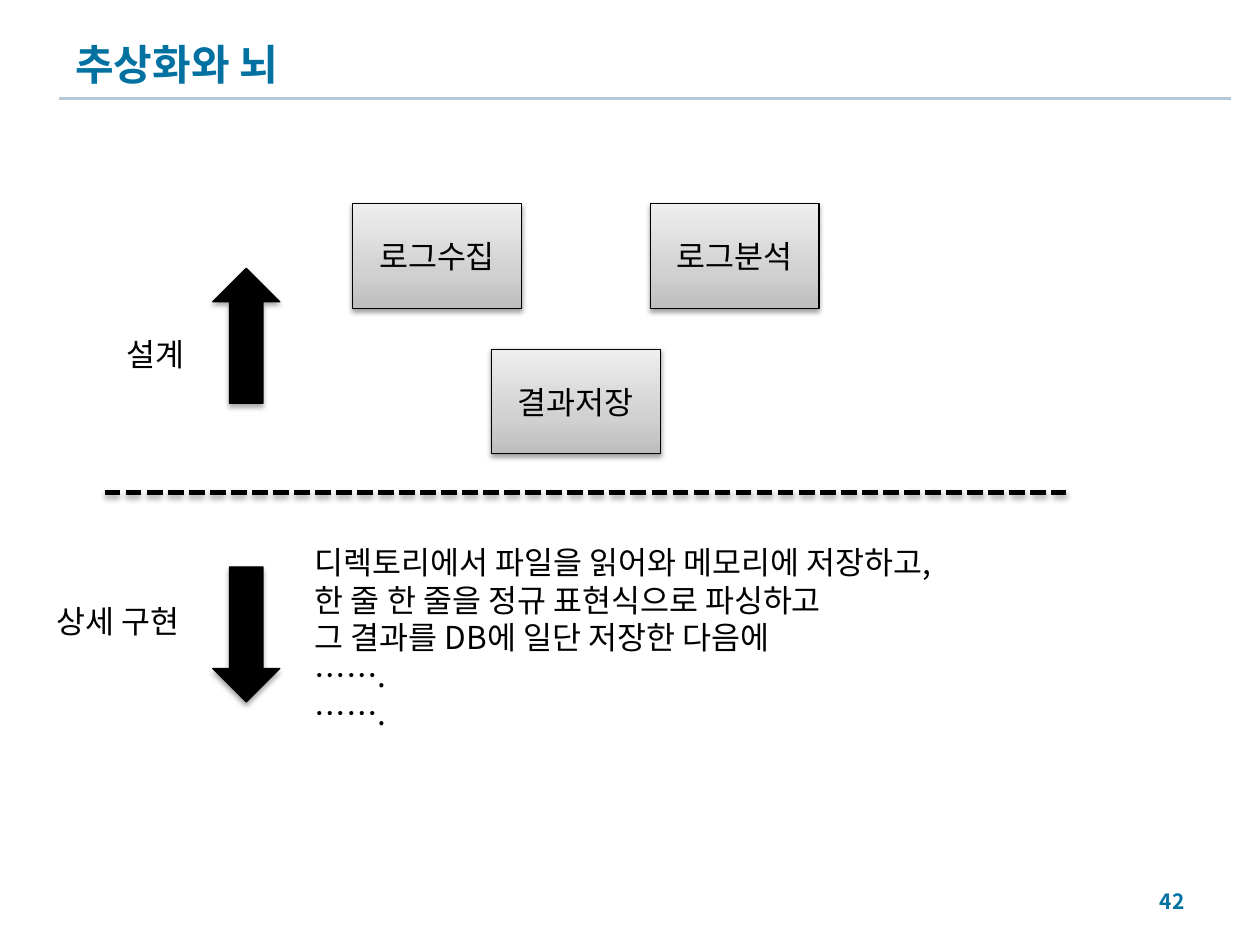
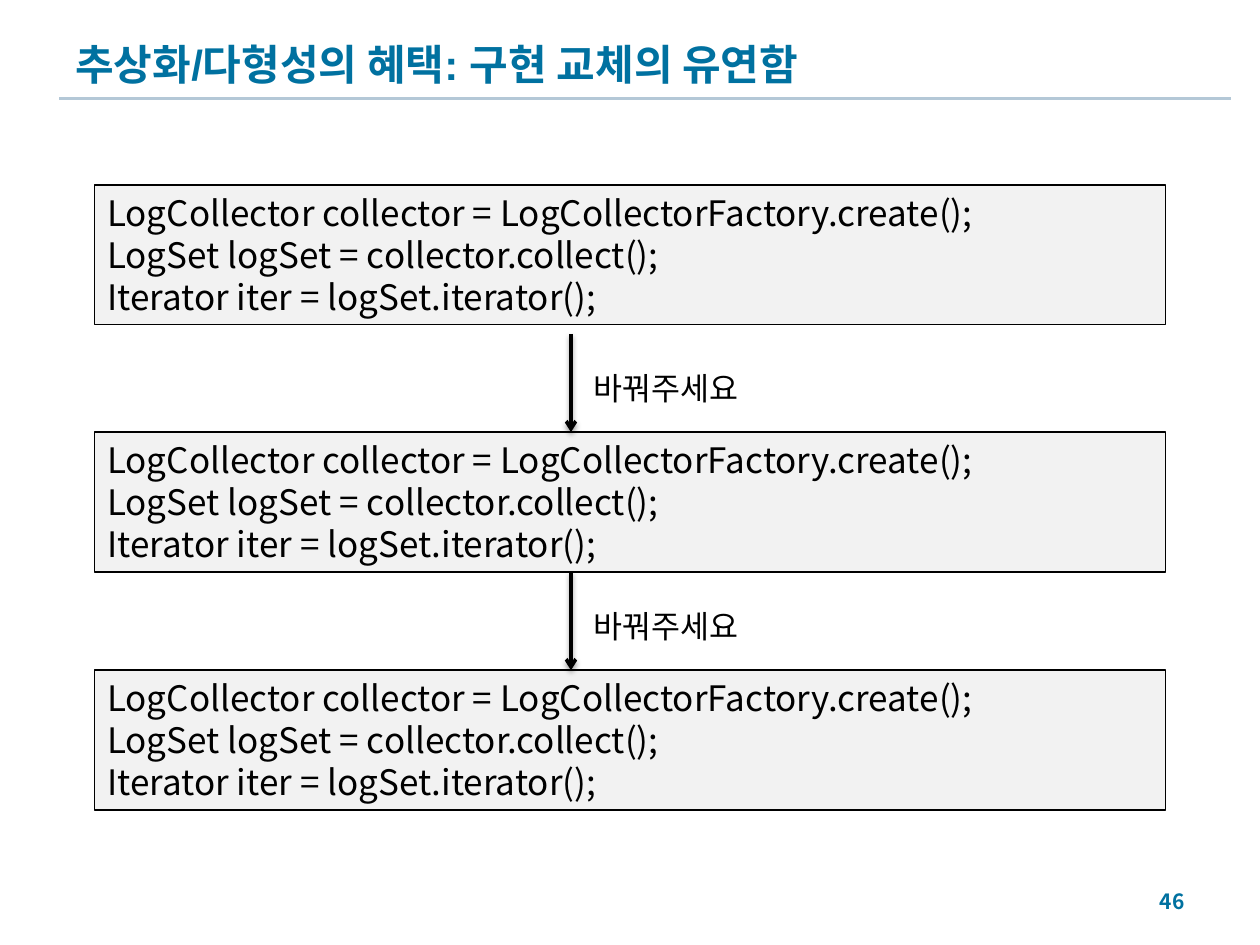
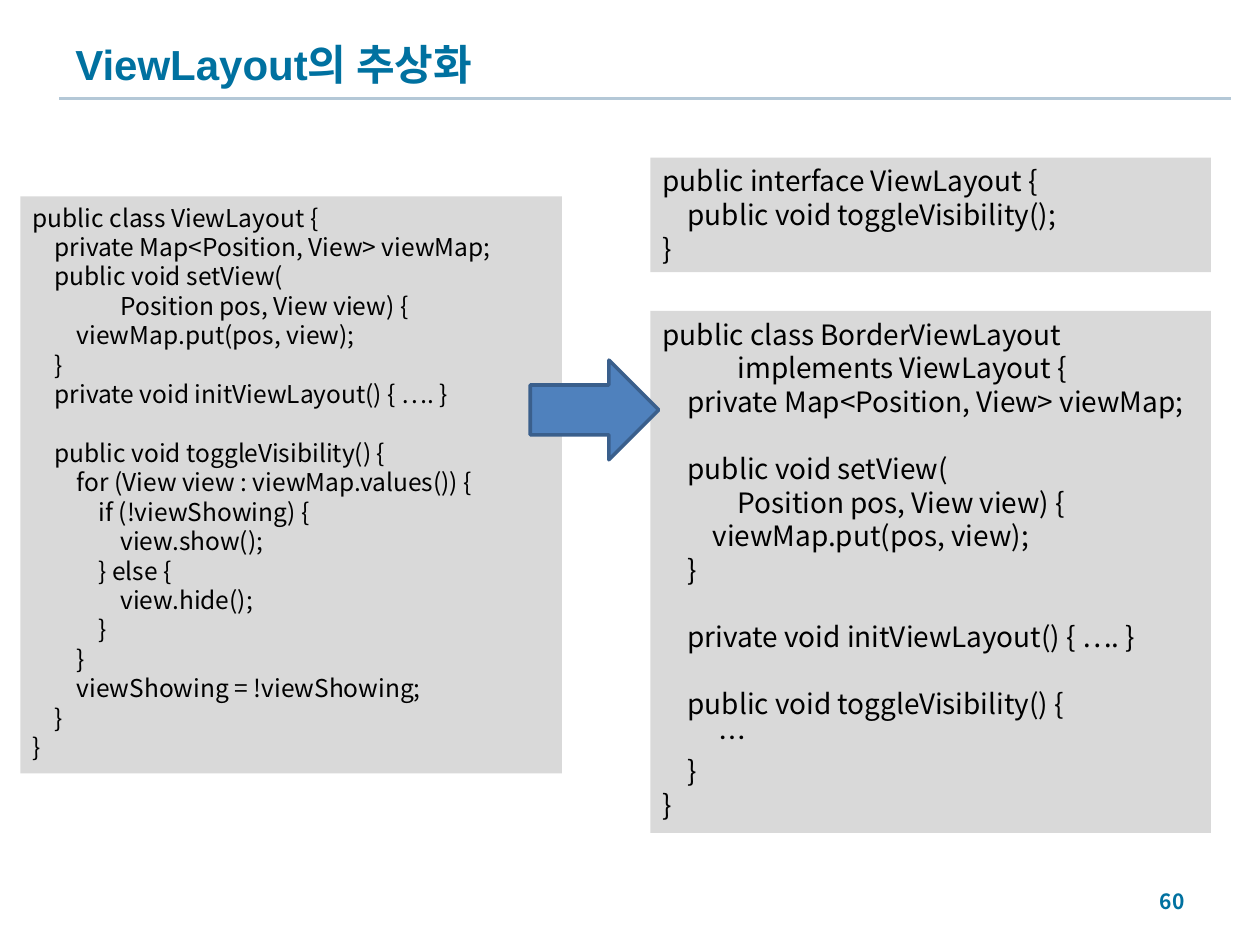
import copy

import lxml.etree
import pptx
import pptx.dml.color
import pptx.enum.dml
import pptx.enum.shapes
import pptx.enum.text
import pptx.oxml
import pptx.oxml.ns
import pptx.util

Cm = pptx.util.Cm
Pt = pptx.util.Pt
qn = pptx.oxml.ns.qn
SHAPES = pptx.enum.shapes.MSO_SHAPE
STRAIGHT = pptx.enum.shapes.MSO_CONNECTOR.STRAIGHT
ALIGN = pptx.enum.text.PP_ALIGN
ANCHOR = pptx.enum.text.MSO_ANCHOR

BLUE = "0071A0"
BLACK = "000000"
RULE_GRAY = "B4C8D7"
CODE_GRAY = "D9D9D9"
STEP_GRAY = "F2F2F2"
KOREAN_FONT = "Noto Sans CJK KR"
TITLE_FORMAT = {"size": Pt(24), "bold": True, "name": "Arial"}
NUMBER_FORMAT = {"size": Pt(12), "bold": True, "name": KOREAN_FONT}
BODY_FORMAT = {"size": Pt(18), "name": KOREAN_FONT}
STEP_FORMAT = {"size": Pt(20), "name": KOREAN_FONT}


def color(value):
    return pptx.dml.color.RGBColor.from_string(value)


def write(shape, text, font_format, font_color=BLACK, align=ALIGN.LEFT, anchor=ANCHOR.TOP, wrap=True):
    frame = shape.text_frame
    frame.word_wrap = wrap
    frame.vertical_anchor = anchor
    for index, line in enumerate(text.split("\n")):
        paragraph = frame.add_paragraph() if index else frame.paragraphs[0]
        paragraph.alignment = align
        if line:
            run = paragraph.add_run()
            run.text = line
            for name, value in font_format.items():
                setattr(run.font, name, value)
            run.font.color.rgb = color(font_color)
            properties = run._r.get_or_add_rPr()
        else:
            size = str(int(font_format["size"].pt * 100))
            properties = lxml.etree.SubElement(paragraph._p, qn("a:endParaRPr"), sz=size)
            lxml.etree.SubElement(properties, qn("a:latin"), typeface=font_format["name"])
        lxml.etree.SubElement(properties, qn("a:ea"), typeface=KOREAN_FONT)


presentation = pptx.Presentation()
presentation.slide_width = Cm(25.4)
presentation.slide_height = Cm(19.05)

slides = []
plain_connectors = []
for title, number in [
    ("추상화와 뇌", "42"),
    ("추상화/다형성의 혜택: 구현 교체의 유연함", "46"),
    ("ViewLayout의 추상화", "60"),
]:
    slide = presentation.slides.add_slide(presentation.slide_layouts[6])
    slides.append(slide)
    rule = slide.shapes.add_connector(STRAIGHT, Cm(1.19), Cm(1.98), Cm(24.82), Cm(1.98))
    rule.line.color.rgb = color(RULE_GRAY)
    rule.line.width = Pt(1.5)
    plain_connectors.append(rule)
    title_box = slide.shapes.add_textbox(Cm(1.27), Cm(0.58), Cm(22.86), Cm(1.42))
    write(title_box, title, TITLE_FORMAT, BLUE, anchor=ANCHOR.MIDDLE)
    number_box = slide.shapes.add_textbox(Cm(18.21), Cm(17.65), Cm(5.92), Cm(1.02))
    write(number_box, number, NUMBER_FORMAT, BLUE, ALIGN.RIGHT, ANCHOR.MIDDLE)

brain_slide, steps_slide, layout_slide = slides
shadowed = []

for kind, top in [(SHAPES.UP_ARROW, 5.41), (SHAPES.DOWN_ARROW, 11.43)]:
    level_arrow = brain_slide.shapes.add_shape(kind, Cm(4.29), Cm(top), Cm(1.35), Cm(2.72))
    level_arrow.fill.solid()
    level_arrow.fill.fore_color.rgb = color(BLACK)
    level_arrow.line.color.rgb = color(BLACK)
    level_arrow.line.width = Pt(0.75)
    shadowed.append((level_arrow, 35, 1.8))

divider = brain_slide.shapes.add_connector(STRAIGHT, Cm(2.11), Cm(9.93), Cm(21.49), Cm(9.93))
divider.line.color.rgb = color(BLACK)
divider.line.width = Pt(3)
divider.line.dash_style = pptx.enum.dml.MSO_LINE.SQUARE_DOT
shadowed.append((divider, 35, 1.8))

details = """디렉토리에서 파일을 읽어와 메모리에 저장하고,
한 줄 한 줄을 정규 표현식으로 파싱하고
그 결과를 DB에 일단 저장한 다음에
…….
……."""
details_box = brain_slide.shapes.add_textbox(Cm(6.1), Cm(10.82), Cm(14.2), Cm(4.11))
write(details_box, details, BODY_FORMAT)

for text, left, top, width in [("상세 구현", 0.89, 12.01, 3.3), ("설계", 2.31, 6.63, 1.8)]:
    level_label = brain_slide.shapes.add_textbox(Cm(left), Cm(top), Cm(width), Cm(1.02))
    write(level_label, text, BODY_FORMAT, wrap=False)

for text, left, top in [("로그수집", 7.11, 4.11), ("로그분석", 13.11, 4.11), ("결과저장", 9.91, 7.04)]:
    module_box = brain_slide.shapes.add_shape(SHAPES.RECTANGLE, Cm(left), Cm(top), Cm(3.4), Cm(2.11))
    module_box.fill.gradient()
    module_box.fill.gradient_angle = 90
    first_stop = next(module_box._element.spPr.iter(qn("a:gs")))
    first_stop.addnext(copy.deepcopy(first_stop))
    gradient = [(0, "BDBDBD"), (0.35, "D1D1D1"), (1, "EEEEEE")]
    for stop, (position, shade) in zip(module_box.fill.gradient_stops, gradient):
        stop.position = position
        stop.color.rgb = color(shade)
    module_box.line.color.rgb = color(BLACK)
    module_box.line.width = Pt(0.75)
    write(module_box, text, BODY_FORMAT, align=ALIGN.CENTER, anchor=ANCHOR.MIDDLE)
    shadowed.append((module_box, 38, 1.6))

client_code = """LogCollector collector = LogCollectorFactory.create();
LogSet logSet = collector.collect();
Iterator iter = logSet.iterator();"""
for top in [3.73, 8.71, 13.51]:
    step_box = steps_slide.shapes.add_shape(SHAPES.RECTANGLE, Cm(1.91), Cm(top), Cm(21.59), Cm(2.82))
    step_box.shadow.inherit = False
    step_box.fill.solid()
    step_box.fill.fore_color.rgb = color(STEP_GRAY)
    step_box.line.color.rgb = color(BLACK)
    step_box.line.width = Pt(0.75)
    write(step_box, client_code, STEP_FORMAT)

for top in [6.73, 11.53]:
    step_arrow = steps_slide.shapes.add_connector(STRAIGHT, Cm(11.51), Cm(top), Cm(11.51), Cm(top + 1.98))
    step_arrow.line.color.rgb = color(BLACK)
    step_arrow.line.width = Pt(2)
    outline = step_arrow._element.spPr.find(qn("a:ln"))
    lxml.etree.SubElement(outline, qn("a:tailEnd"), type="arrow")
    shadowed.append((step_arrow, 38, 1.6))
    step_label = steps_slide.shapes.add_textbox(Cm(11.71), Cm(top + 0.59), Cm(3.71), Cm(1.02))
    write(step_label, "바꿔주세요", BODY_FORMAT, wrap=False)

interface_code = """public interface ViewLayout {
    public void toggleVisibility();
}"""
border_code = """public class BorderViewLayout
            implements ViewLayout {
    private Map<Position, View> viewMap;

    public void setView(
            Position pos, View view) {
        viewMap.put(pos, view);
    }

    private void initViewLayout() { …. }

    public void toggleVisibility() {
         …
    }
}"""
class_code = """public class ViewLayout {
    private Map<Position, View> viewMap;
    public void setView(
                Position pos, View view) {
        viewMap.put(pos, view);
    }
    private void initViewLayout() { …. }

    public void toggleVisibility() {
        for (View view : viewMap.values()) {
            if (!viewShowing) {
                view.show();
            } else {
                view.hide();
            }
        }
        viewShowing = !viewShowing;
    }
}"""
for code, size, left, top, width, height in [
    (interface_code, 16, 13.11, 3.18, 11.3, 2.31),
    (border_code, 16, 13.11, 6.27, 11.3, 10.52),
    (class_code, 14, 0.41, 3.96, 10.92, 11.63),
]:
    code_box = layout_slide.shapes.add_shape(SHAPES.RECTANGLE, Cm(left), Cm(top), Cm(width), Cm(height))
    code_box.shadow.inherit = False
    code_box.fill.solid()
    code_box.fill.fore_color.rgb = color(CODE_GRAY)
    code_box.line.fill.background()
    write(code_box, code, {"size": Pt(size), "name": KOREAN_FONT})

change_arrow = layout_slide.shapes.add_shape(SHAPES.RIGHT_ARROW, Cm(10.69), Cm(7.26), Cm(2.59), Cm(2.01))
change_arrow.shadow.inherit = False
change_arrow.fill.solid()
change_arrow.fill.fore_color.rgb = color("4F81BD")
change_arrow.line.color.rgb = color("3A5F8C")
change_arrow.line.width = Pt(2)

for connector in plain_connectors:
    lxml.etree.SubElement(connector._element.spPr, qn("a:effectLst"))

for shape, opacity, distance in shadowed:
    effects = lxml.etree.SubElement(shape._element.spPr, qn("a:effectLst"))
    shadow = lxml.etree.SubElement(
        effects, qn("a:outerShdw"), blurRad=str(Pt(3.1)), dist=str(Pt(distance)), dir="5400000", rotWithShape="0"
    )
    shadow_color = lxml.etree.SubElement(shadow, qn("a:srgbClr"), val=BLACK)
    lxml.etree.SubElement(shadow_color, qn("a:alpha"), val=str(opacity * 1000))

presentation.save("out.pptx")
